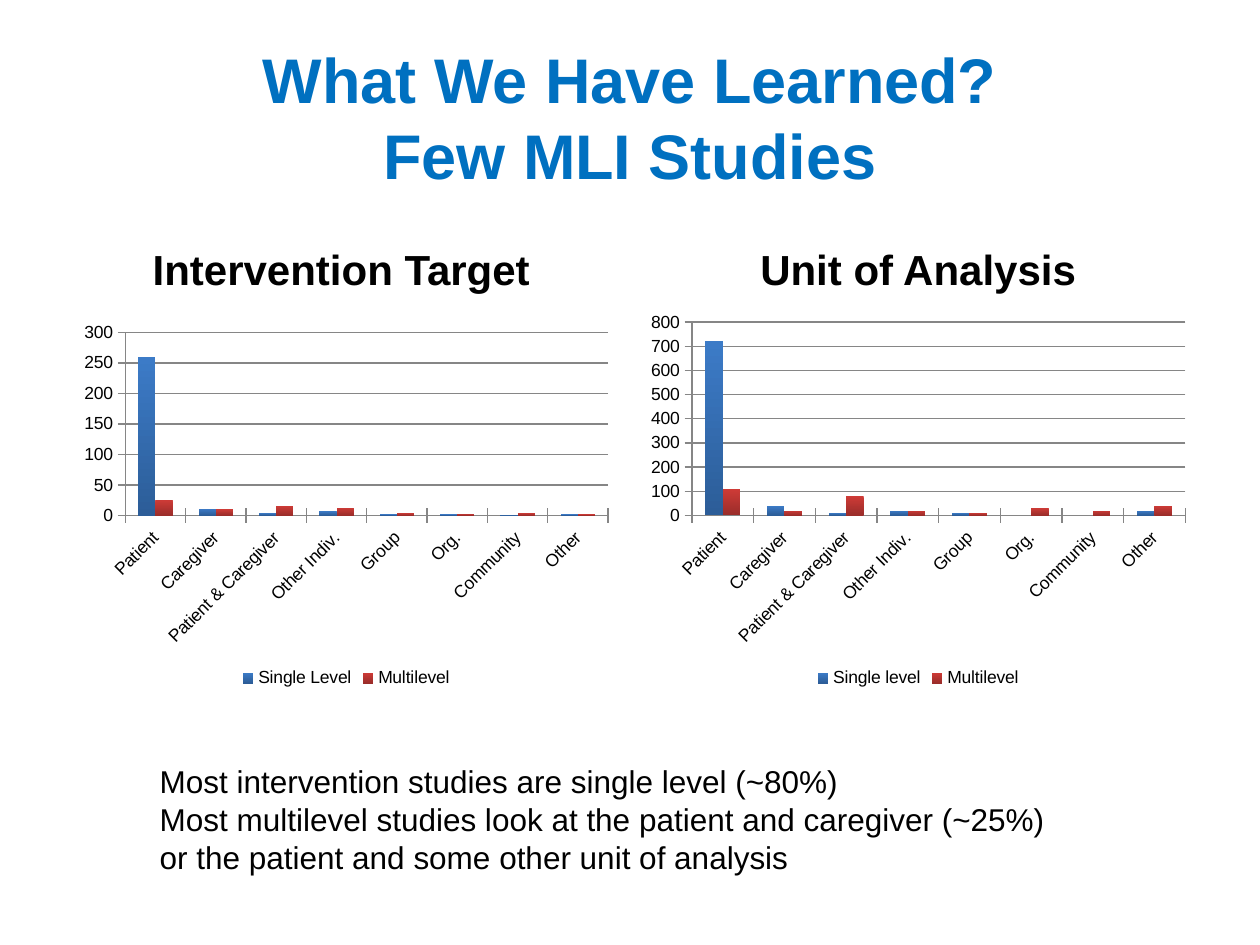
from dataclasses import dataclass

from pptx import Presentation
from pptx.chart.data import CategoryChartData
from pptx.dml.color import RGBColor
from pptx.enum.chart import XL_CHART_TYPE, XL_LEGEND_POSITION, XL_TICK_MARK
from pptx.enum.text import MSO_ANCHOR, PP_ALIGN
from pptx.util import Cm, Pt

CLUSTERED = XL_CHART_TYPE.COLUMN_CLUSTERED
LEGEND_BOTTOM = XL_LEGEND_POSITION.BOTTOM
TICK_CROSS = XL_TICK_MARK.CROSS
CENTER, LEFT = PP_ALIGN.CENTER, PP_ALIGN.LEFT
MIDDLE, BOTTOM, TOP = MSO_ANCHOR.MIDDLE, MSO_ANCHOR.BOTTOM, MSO_ANCHOR.TOP

FONT = "Arial"
BLACK, BLUE, GRAY = "000000", "0070C0", "868686"
COLUMN_GRADIENTS = (("3C7BC7", "2C5D98"), ("CE3B37", "9B2D2A"))
COMPARISON_LAYOUT = 4
CATEGORIES = ("Patient", "Caregiver", "Patient & Caregiver", "Other Indiv.",
              "Group", "Org.", "Community", "Other")


@dataclass
class Area:
    left: float
    top: float
    width: float
    height: float

    def lengths(self) -> tuple:
        return Cm(self.left), Cm(self.top), Cm(self.width), Cm(self.height)


@dataclass
class Panel:
    heading: str
    placeholder: int
    heading_area: Area
    chart_area: Area
    series: dict


PANELS = (
    Panel("Intervention Target", 1, Area(1.27, 4.27, 11.22, 1.78),
          Area(1.48, 6.35, 11, 7.62),
          {"Single Level": (259, 11, 4, 7, 2, 2, 1, 2),
           "Multilevel": (26, 10, 16, 13, 4, 3, 4, 2)}),
    Panel("Unit of Analysis", 3, Area(12.9, 4.27, 11.22, 1.78),
          Area(12.9, 6.14, 11.22, 7.83),
          {"Single level": (720, 40, 10, 20, 10, 0, 0, 20),
           "Multilevel": (110, 20, 80, 20, 10, 30, 20, 40)}),
)


def color(value: str) -> RGBColor:
    return RGBColor.from_string(value)


def place(shape, area: Area) -> None:
    shape.left, shape.top, shape.width, shape.height = area.lengths()


def write(shape, text: str, *, size: int, fill: str = BLACK, bold: bool = False,
          align=LEFT, anchor=TOP) -> None:
    frame = shape.text_frame
    frame.word_wrap = True
    frame.vertical_anchor = anchor
    frame.text = text
    for paragraph in frame.paragraphs:
        paragraph.alignment = align
        for span in paragraph.runs:
            span.font.name = FONT
            span.font.size = Pt(size)
            span.font.bold = bold
            span.font.color.rgb = color(fill)


def style_line(line) -> None:
    line.color.rgb = color(GRAY)
    line.width = Pt(0.75)


def add_column_chart(page, panel: Panel) -> None:
    data = CategoryChartData()
    data.categories = CATEGORIES
    for name, values in panel.series.items():
        data.add_series(name, values)
    chart = page.shapes.add_chart(CLUSTERED, *panel.chart_area.lengths(), data).chart
    chart.font.name = FONT
    chart.font.size = Pt(10)
    chart.font.color.rgb = color(BLACK)
    chart.has_title = False
    chart.has_legend = True
    chart.legend.position = LEGEND_BOTTOM
    chart.legend.include_in_layout = False
    for axis in (chart.category_axis, chart.value_axis):
        axis.major_tick_mark = TICK_CROSS
        style_line(axis.format.line)
    chart.value_axis.has_major_gridlines = True
    style_line(chart.value_axis.major_gridlines.format.line)
    plot = chart.plots[0]
    plot.gap_width = 150
    plot.overlap = 0
    plot.vary_by_categories = False
    for series, shades in zip(plot.series, COLUMN_GRADIENTS):
        fill = series.format.fill
        fill.gradient()
        fill.gradient_angle = 270
        for stop, shade in zip(fill.gradient_stops, shades):
            stop.color.rgb = color(shade)


def main() -> None:
    deck = Presentation()
    deck.slide_width, deck.slide_height = Cm(25.4), Cm(19.05)
    page = deck.slides.add_slide(deck.slide_layouts[COMPARISON_LAYOUT])
    holders = {box.placeholder_format.idx: box for box in page.placeholders}

    title = page.shapes.title
    place(title, Area(1.27, 0.76, 22.86, 3.18))
    write(title, "What We Have Learned?\vFew MLI Studies", size=36, fill=BLUE,
          bold=True, align=CENTER, anchor=MIDDLE)

    for panel in PANELS:
        heading = holders[panel.placeholder]
        place(heading, panel.heading_area)
        write(heading, panel.heading, size=24, bold=True, align=CENTER, anchor=BOTTOM)
        add_column_chart(page, panel)
        unused = holders[panel.placeholder + 1].element
        unused.getparent().remove(unused)

    summary = page.shapes.add_textbox(*Area(2.97, 15.24, 18.85, 3.33).lengths())
    write(summary, "Most intervention studies are single level (~80%)\n"
          "Most multilevel studies look at the patient and caregiver (~25%) "
          "or the patient and some other unit of analysis", size=18)

    deck.save("out.pptx")


if __name__ == "__main__":
    main()
